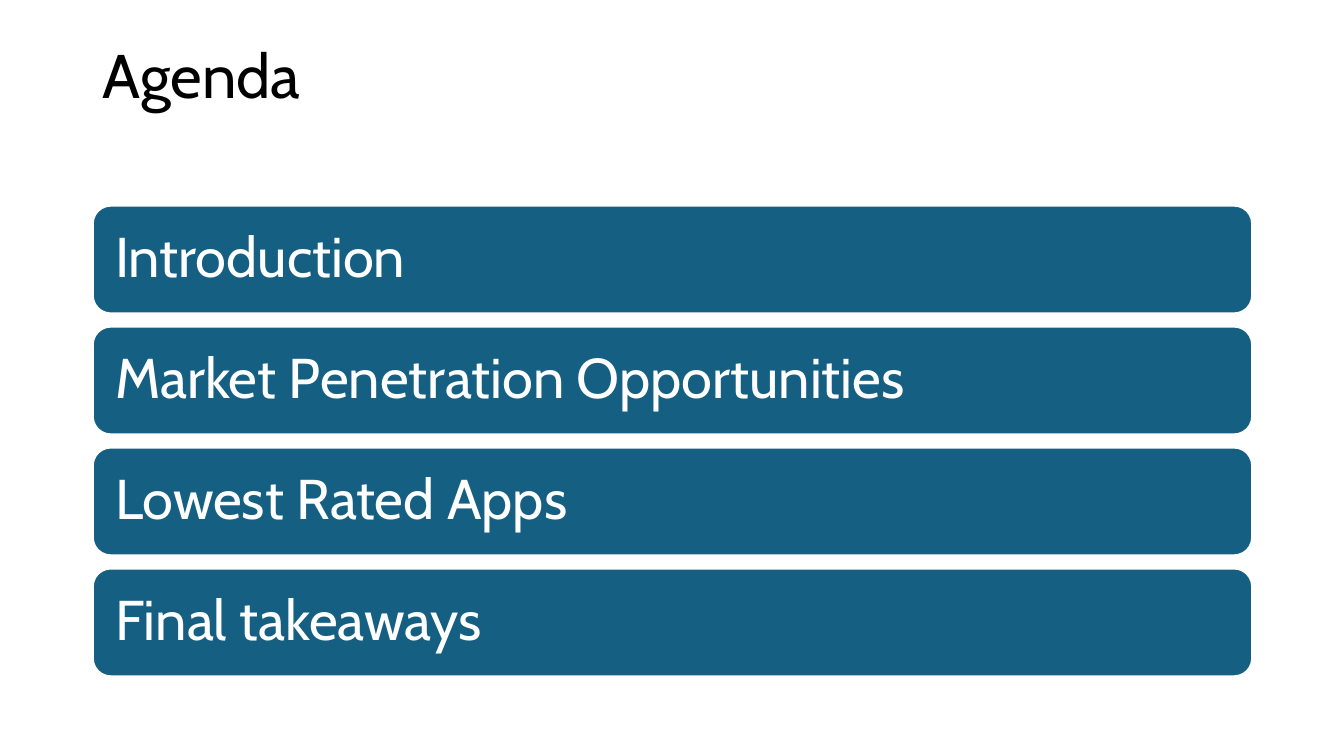
from pptx import Presentation
from pptx.dml.color import RGBColor
from pptx.enum.shapes import MSO_SHAPE as Shape
from pptx.enum.text import MSO_ANCHOR as Anchor, PP_ALIGN as Align
from pptx.util import Emu, Pt

BLACK = RGBColor(0x00, 0x00, 0x00)
WHITE = RGBColor(0xFF, 0xFF, 0xFF)
TEAL = RGBColor(0x15, 0x60, 0x82)

EMU_PER_PX = 9144
PAGE_WIDTH, PAGE_HEIGHT = 1333, 750
LEFT, WIDTH = 92, 1150
BAR_TOP, BAR_HEIGHT, BAR_PITCH = 204, 107, 120
TOPICS = (
    "Introduction",
    "Market Penetration Opportunities",
    "Lowest Rated Apps",
    "Final takeaways",
)


def px(length):
    """Turn whole pixels into EMU."""
    return Emu(length * EMU_PER_PX)


class AgendaPage:
    """Draw the title and topic bars of one page in a shared style."""

    font_name = "Cabin"
    line_spacing = 0.9

    def __init__(self, page):
        self.page = page

    def set_text(self, box, text, size, color, anchor, inset):
        """Fill a box with one left-aligned paragraph."""
        frame = box.text_frame
        frame.word_wrap = True
        frame.vertical_anchor = anchor
        frame.margin_left = frame.margin_right = px(inset)
        para = frame.paragraphs[0]
        para.text = text
        para.alignment = Align.LEFT
        para.line_spacing = self.line_spacing
        para.font.name = self.font_name
        para.font.size = Pt(size)
        para.font.color.rgb = color

    def title(self, text, top, height):
        """Add the page title."""
        box = self.page.shapes.add_textbox(px(LEFT), px(top), px(WIDTH), px(height))
        self.set_text(box, text, 44, BLACK, Anchor.TOP, 10)

    def bar(self, text, top):
        """Add a rounded bar holding one topic."""
        bar = self.page.shapes.add_shape(
            Shape.ROUNDED_RECTANGLE, px(LEFT), px(top), px(WIDTH), px(BAR_HEIGHT)
        )
        bar.shadow.inherit = False
        bar.fill.solid()
        bar.fill.fore_color.rgb = TEAL
        bar.line.color.rgb = WHITE
        bar.line.width = Pt(1.5)
        self.set_text(bar, text, 40, WHITE, Anchor.MIDDLE, 17)


def main():
    """Build and save the agenda slide."""
    deck = Presentation()
    deck.slide_width, deck.slide_height = px(PAGE_WIDTH), px(PAGE_HEIGHT)
    agenda = AgendaPage(deck.slides.add_slide(deck.slide_layouts[6]))
    agenda.title("Agenda", 40, 145)
    for index, topic in enumerate(TOPICS):
        agenda.bar(topic, BAR_TOP + index * BAR_PITCH)
    deck.save("out.pptx")


if __name__ == "__main__":
    main()
